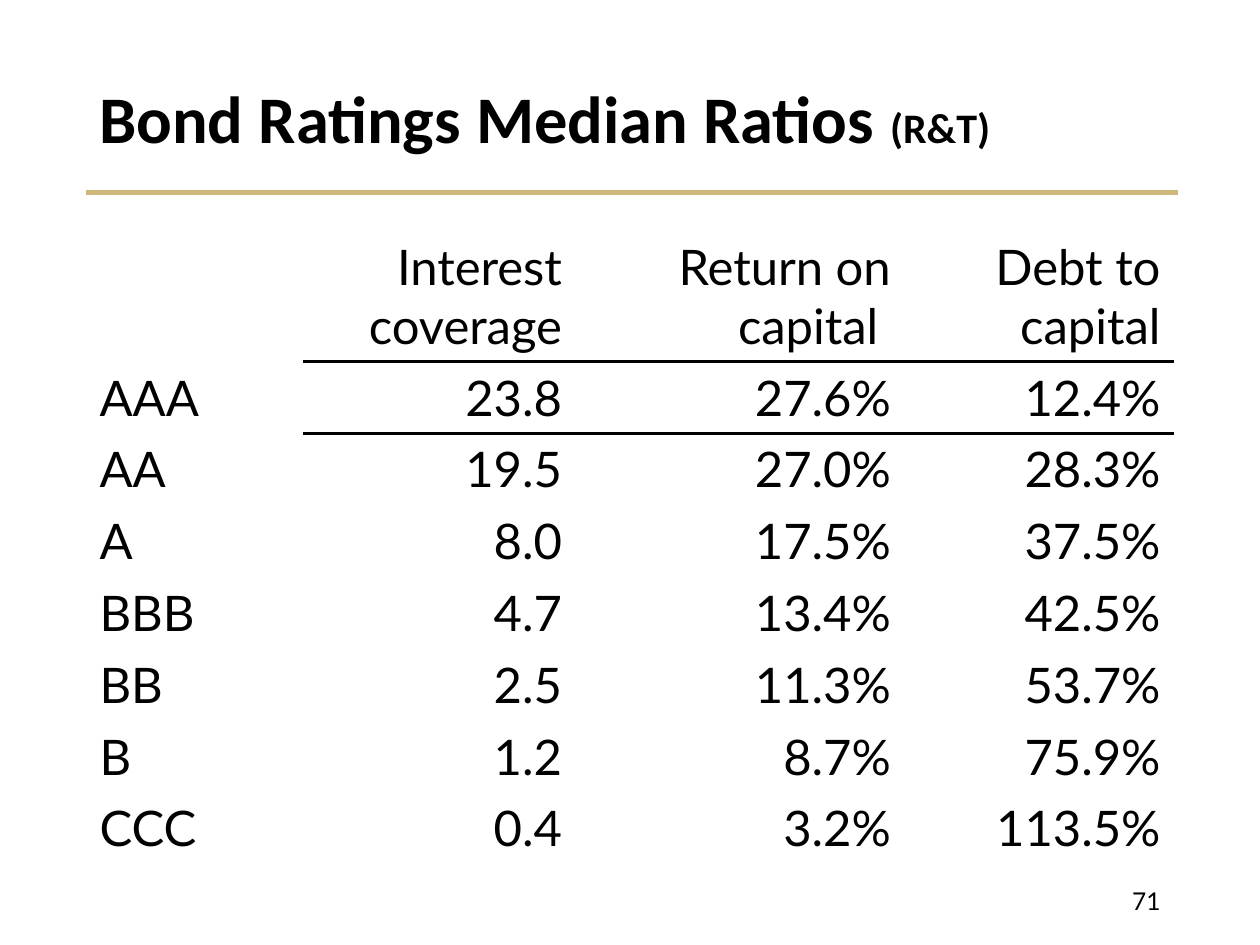
from dataclasses import dataclass

from lxml import etree
from pptx import Presentation
from pptx import util as u
from pptx.dml.color import RGBColor
from pptx.enum import shapes, text
from pptx.oxml import ns

BLACK = "000000"
GOLD = "CFB87C"
LEFT, WIDTH = 0.69, 8.62
COLUMN_WIDTHS = (1.72, 2.15, 2.61, 2.14)
HEADER_HEIGHT, ROW_HEIGHT = 1.04, 0.57
HEADINGS = ("", "Interest coverage", "Return on capital ", "Debt to capital")


@dataclass(frozen=True)
class Rating:
    grade: str
    coverage: str
    capital_return: str
    debt: str

    def cells(self) -> tuple[str, ...]:
        return self.grade, self.coverage, self.capital_return, self.debt


RATINGS = (
    Rating("AAA", "23.8", "27.6%", "12.4%"),
    Rating("AA", "19.5", "27.0%", "28.3%"),
    Rating("A", "8.0", "17.5%", "37.5%"),
    Rating("BBB", "4.7", "13.4%", "42.5%"),
    Rating("BB", "2.5", "11.3%", "53.7%"),
    Rating("B", "1.2", "8.7%", "75.9%"),
    Rating("CCC", "0.4", "3.2%", "113.5%"),
)


def color(value: str) -> RGBColor:
    return RGBColor.from_string(value)


def write(para, words: str, *, size: float, font: str = "Lato",
          bold: bool = False, align=text.PP_ALIGN.LEFT) -> None:
    para.alignment = align
    span = para.add_run()
    span.text = words
    span.font.name = font
    span.font.size = u.Pt(size)
    span.font.bold = bold
    span.font.color.rgb = color(BLACK)


def add_box(page, left: float, top: float, width: float, height: float):
    box = page.shapes.add_textbox(*map(u.Inches, (left, top, width, height)))
    box.text_frame.word_wrap = True
    box.text_frame.vertical_anchor = text.MSO_ANCHOR.MIDDLE
    return box.text_frame.paragraphs[0]


def add_rule(page, left: float, right: float, top: float) -> None:
    rule = page.shapes.add_connector(
        shapes.MSO_CONNECTOR.STRAIGHT,
        u.Inches(left), u.Inches(top), u.Inches(right), u.Inches(top))
    rule.line.color.rgb = color(GOLD)
    rule.line.width = u.Pt(3)
    etree.SubElement(rule._element.spPr, ns.qn("a:effectLst"))


def add_border(cell, side: str) -> None:
    line = etree.Element(ns.qn(f"a:{side}"), w=str(u.Pt(2.25)))
    fill = etree.SubElement(line, ns.qn("a:solidFill"))
    etree.SubElement(fill, ns.qn("a:srgbClr"), val=BLACK)
    cell._tc.get_or_add_tcPr().insert(0, line)


def add_ratings(page) -> None:
    rows = [HEADINGS] + [rating.cells() for rating in RATINGS]
    height = HEADER_HEIGHT + ROW_HEIGHT * len(RATINGS)
    table = page.shapes.add_table(
        len(rows), len(HEADINGS), u.Inches(LEFT), u.Inches(1.83),
        u.Inches(WIDTH), u.Inches(height)).table
    table.first_row = table.horz_banding = False
    for column, width in zip(table.columns, COLUMN_WIDTHS):
        column.width = u.Inches(width)
    for r, values in enumerate(rows):
        table.rows[r].height = u.Inches(ROW_HEIGHT if r else HEADER_HEIGHT)
        for c, value in enumerate(values):
            cell = table.cell(r, c)
            cell.fill.background()
            if value:
                align = text.PP_ALIGN.RIGHT if c else text.PP_ALIGN.LEFT
                write(cell.text_frame.paragraphs[0], value, size=28, align=align)
            if c and r < 2:
                add_border(cell, "lnT" if r else "lnB")


def main() -> None:
    deck = Presentation()
    deck.slide_width, deck.slide_height = u.Inches(10), u.Inches(7.5)
    page = deck.slides.add_slide(deck.slide_layouts[6])

    add_rule(page, 0.68, 9.35, 1.53)
    title = add_box(page, LEFT, 0.4, WIDTH, 1.13)
    title.line_spacing = 0.9
    write(title, "Bond Ratings Median Ratios ", size=38, font="Calibri", bold=True)
    write(title, "(R&T)", size=24, font="Calibri", bold=True)
    add_ratings(page)
    number = add_box(page, 7.06, 6.95, 2.25, 0.4)
    write(number, "71", size=14, align=text.PP_ALIGN.RIGHT)

    deck.save("out.pptx")


if __name__ == "__main__":
    main()
